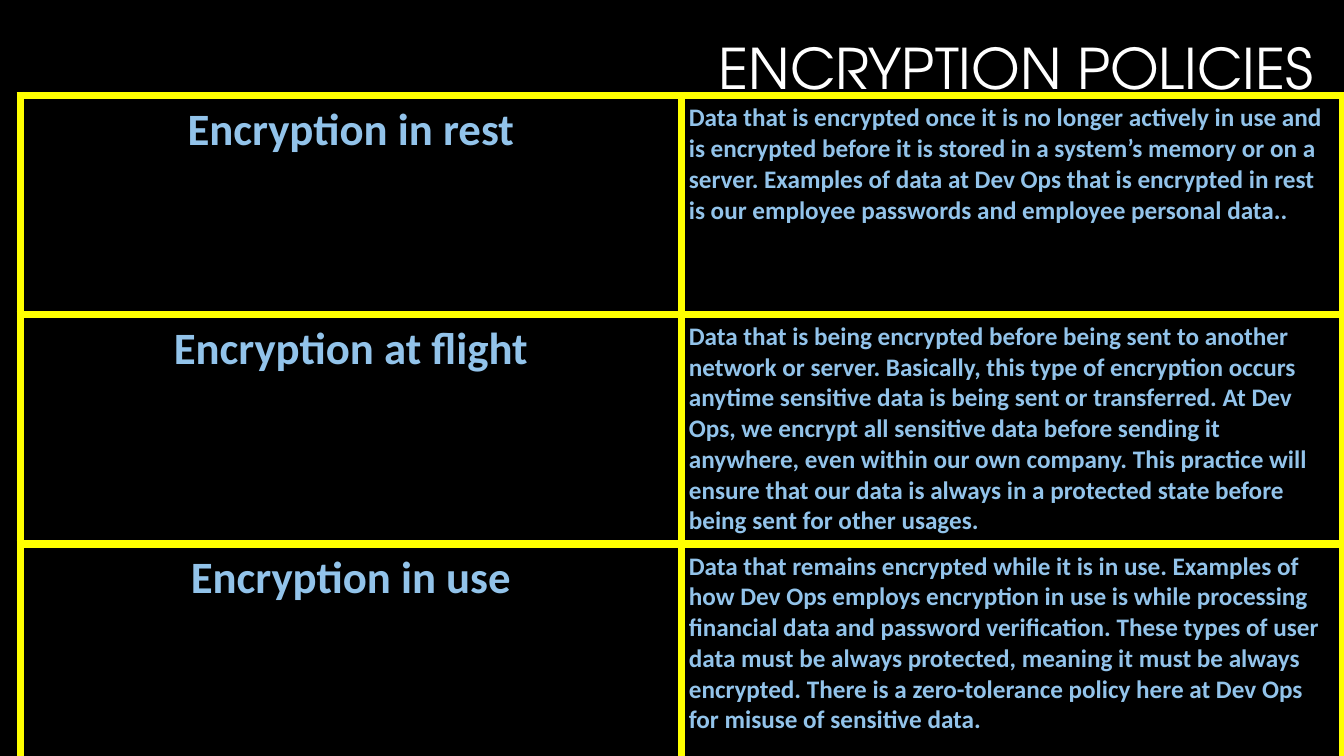
"""Build the encryption policies slide: a title above a bordered table."""
from lxml import etree
from pptx import Presentation
from pptx.dml.color import RGBColor
from pptx.enum.text import MSO_ANCHOR, PP_ALIGN
from pptx.oxml.ns import qn
from pptx.util import Cm, Pt

LEFT, CENTER, RIGHT = PP_ALIGN.LEFT, PP_ALIGN.CENTER, PP_ALIGN.RIGHT
MIDDLE, TOP = MSO_ANCHOR.MIDDLE, MSO_ANCHOR.TOP
BLACK, WHITE, YELLOW, BLUE = "000000", "FFFFFF", "FFFF00", "92C3EA"
BORDER_PT = 6

POLICIES = [
    ("Encryption in rest",
     "Data that is encrypted once it is no longer actively in use and is "
     "encrypted before it is stored in a system’s memory or on a server. "
     "Examples of data at Dev Ops that is encrypted in rest is our employee "
     "passwords and employee personal data.."),
    ("Encryption at flight",
     "Data that is being encrypted before being sent to another network or "
     "server. Basically, this type of encryption occurs anytime sensitive data "
     "is being sent or transferred. At Dev Ops, we encrypt all sensitive data "
     "before sending it anywhere, even within our own company. This practice "
     "will ensure that our data is always in a protected state before being "
     "sent for other usages."),
    ("Encryption in use",
     "Data that remains encrypted while it is in use. Examples of how Dev Ops "
     "employs encryption in use is while processing financial data and password "
     "verification. These types of user data must be always protected, meaning "
     "it must be always encrypted. There is a zero-tolerance policy here at Dev "
     "Ops for misuse of sensitive data."),
]
ROW_HEIGHTS = [Cm(5.51), Cm(5.56), Cm(5.56)]


def rgb(color):
    return RGBColor.from_string(color)


def add_run(p, text, size, font, color, bold, align):
    p.alignment = align
    r = p.add_run()
    r.text = text
    r.font.size = Pt(size)
    r.font.name = font
    r.font.bold = bold
    r.font.color.rgb = rgb(color)


prs = Presentation()
prs.slide_width, prs.slide_height = Cm(33.87), Cm(19.05)
slide = prs.slides.add_slide(prs.slide_layouts[5])
slide.background.fill.solid()
slide.background.fill.fore_color.rgb = rgb(BLACK)

title = slide.shapes.title
title.left, title.top, title.width, title.height = Cm(9.42), Cm(0), Cm(23.93), Cm(3.58)
tf = title.text_frame
tf.word_wrap = True
tf.vertical_anchor = MIDDLE
p = tf.paragraphs[0]
p.line_spacing = 0.9
add_run(p, "ENCRYPTION POLICIES", 40, "TeX Gyre Adventor", WHITE, False, RIGHT)

table = slide.shapes.add_table(len(POLICIES), 2, Cm(0.51), Cm(2.41),
                               Cm(33.34), sum(ROW_HEIGHTS)).table
table.first_row = table.horz_banding = False
for column in table.columns:
    column.width = Cm(16.67)

for row, height, policy in zip(table.rows, ROW_HEIGHTS, POLICIES):
    row.height = height
    for cell, text, size, align in zip(row.cells, policy, (32, 18), (CENTER, LEFT)):
        cell.margin_left = cell.margin_right = Cm(0.18)
        cell.margin_top = cell.margin_bottom = Cm(0.18)
        cell.vertical_anchor = TOP
        tcPr = cell._tc.get_or_add_tcPr()
        for side in ("a:lnL", "a:lnR", "a:lnT", "a:lnB"):
            ln = etree.SubElement(tcPr, qn(side), w=str(Pt(BORDER_PT)))
            fill = etree.SubElement(ln, qn("a:solidFill"))
            etree.SubElement(fill, qn("a:srgbClr"), val=YELLOW)
        cell.fill.background()
        add_run(cell.text_frame.paragraphs[0], text, size, "Calibri", BLUE, True, align)

prs.save("out.pptx")
